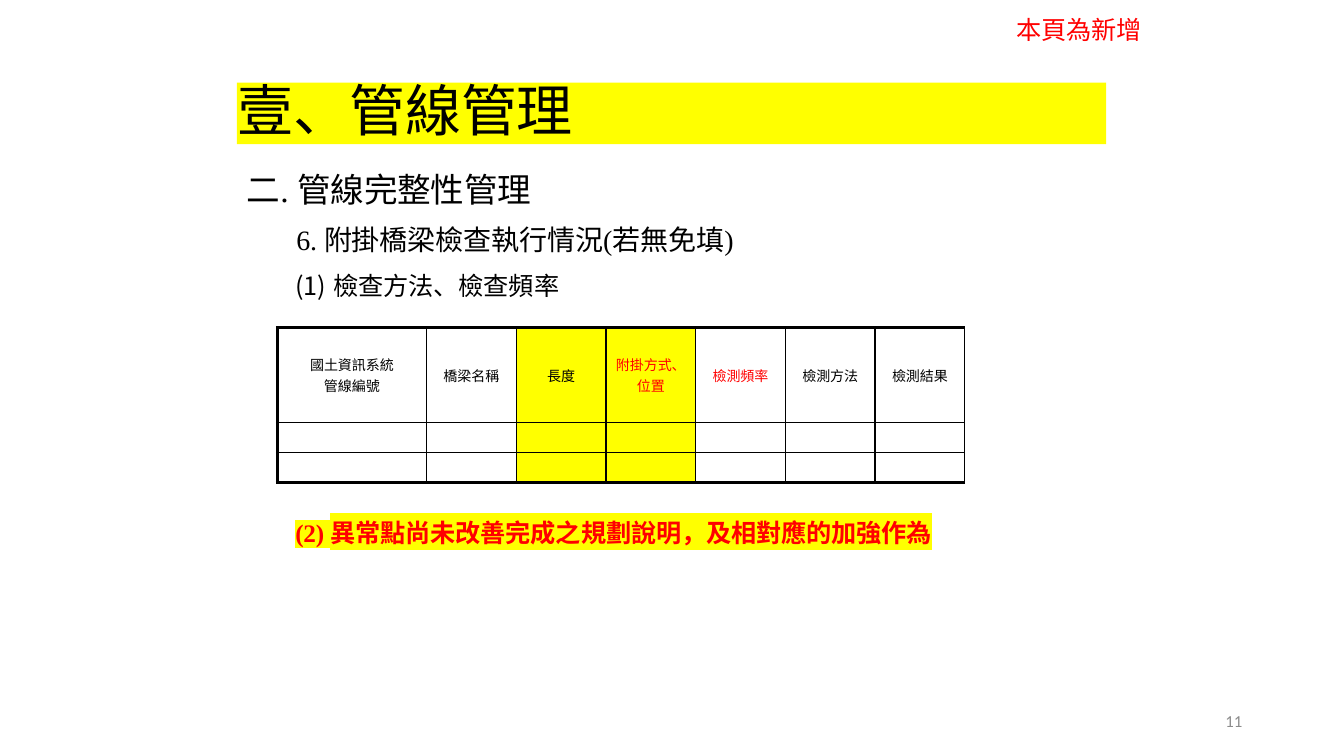
from dataclasses import dataclass

from lxml.etree import SubElement
from pptx import Presentation
from pptx.dml.color import RGBColor
from pptx.enum.text import MSO_ANCHOR as Anchor, MSO_AUTO_SIZE as AutoSize, PP_ALIGN as Align
from pptx.oxml.ns import qn
from pptx.util import Pt

PX = 9144  # EMU per px, 100 px to the inch


@dataclass(frozen=True)
class Theme:
    black: str = "000000"
    red: str = "FF0000"
    yellow: str = "FFFF00"
    grey: str = "8C8C8C"
    serif: str = "Times New Roman"
    sans: str = "Calibri"
    title: int = 40
    heading: int = 24
    subheading: int = 20
    body: int = 18
    footer: int = 12
    cell: int = 10
    thin: float = 1
    thick: float = 2.25


THEME = Theme()


@dataclass(frozen=True)
class Line:
    text: str
    size: int
    color: str = THEME.black
    font: str = THEME.serif
    bold: bool = False
    tracking: int = 0
    highlight: str = ""
    align: Align = Align.LEFT
    left: int = 0
    first: int = 0
    spacing: float = 1.0
    after: int = 0
    numbering: str = ""


@dataclass(frozen=True)
class TextBlock:
    box: tuple[int, int, int, int]
    lines: tuple[Line, ...]
    anchor: Anchor = Anchor.TOP
    fill: str = ""
    inset: bool = True
    wrap: bool = True


@dataclass(frozen=True)
class Column:
    header: tuple[str, ...]
    width: int = 89
    color: str = THEME.black
    fill: str = ""


BLOCKS = (
    TextBlock((235, 82, 862, 61), (
        Line("壹、管線管理", THEME.title, tracking=-10, left=1, spacing=0.9),
    ), Anchor.MIDDLE, THEME.yellow, inset=False),
    TextBlock((235, 167, 835, 341), (
        Line("二. 管線完整性管理", THEME.heading, tracking=-10, spacing=0.9, after=12),
        Line("6. 附掛橋梁檢查執行情況(若無免填)", THEME.subheading, tracking=-10,
             left=49, spacing=0.9, after=12),
        Line("檢查方法、檢查頻率", THEME.body, tracking=-10, left=86, first=-38,
             spacing=0.9, after=12, numbering="arabicParenBoth"),
    )),
    TextBlock((942, 695, 300, 40), (
        Line("11", THEME.footer, THEME.grey, THEME.sans, align=Align.RIGHT),
    ), Anchor.MIDDLE),
    TextBlock((998, 9, 146, 40), (
        Line("本頁為新增", THEME.body, THEME.red, THEME.sans),
    ), wrap=False),
    TextBlock((283, 508, 675, 40), (
        Line("(2) 異常點尚未改善完成之規劃說明，及相對應的加強作為", THEME.body, THEME.red,
             bold=True, tracking=-10, highlight=THEME.yellow, after=12),
    ), wrap=False),
)

COLUMNS = (
    Column(("國土資訊系統", "管線編號"), width=148),
    Column(("橋梁名稱",)),
    Column(("長度",), fill=THEME.yellow),
    Column(("附掛方式、位置",), color=THEME.red, fill=THEME.yellow),
    Column(("檢測頻率",), color=THEME.red),
    Column(("檢測方法",)),
    Column(("檢測結果",)),
)
ROW_HEIGHTS = (94, 30, 30)
TABLE_ORIGIN = (275, 325)


def add_solid(parent, tag: str, color: str) -> None:
    SubElement(SubElement(parent, qn(tag)), qn("a:srgbClr"), val=color)


def write_line(para, line: Line) -> None:
    props = para._p.get_or_add_pPr()
    props.set("marL", str(line.left * PX))
    props.set("indent", str(line.first * PX))
    para.alignment = line.align
    para.line_spacing = line.spacing
    para.space_after = Pt(line.after)
    if line.numbering:
        SubElement(props, qn("a:buFont"), typeface="+mj-ea")
        SubElement(props, qn("a:buAutoNum"), type=line.numbering)
    span = para.add_run()
    span.text = line.text
    font = span.font
    font.size, font.bold = Pt(line.size), line.bold
    font.color.rgb = RGBColor.from_string(line.color)
    run_props = span._r.get_or_add_rPr()
    if line.tracking:
        run_props.set("spc", str(line.tracking))
    if line.highlight:
        add_solid(run_props, "a:highlight", line.highlight)
    font.name = line.font


def write_lines(frame, lines: tuple[Line, ...]) -> None:
    for index, line in enumerate(lines):
        write_line(frame.add_paragraph() if index else frame.paragraphs[0], line)


def add_block(page, block: TextBlock) -> None:
    box = page.shapes.add_textbox(*(PX * side for side in block.box))
    frame = box.text_frame
    frame.word_wrap = block.wrap
    frame.auto_size = AutoSize.NONE if block.wrap else AutoSize.SHAPE_TO_FIT_TEXT
    frame.vertical_anchor = block.anchor
    if block.fill:
        box.fill.solid()
        box.fill.fore_color.rgb = RGBColor.from_string(block.fill)
    if not block.inset:
        frame.margin_left = frame.margin_right = frame.margin_top = frame.margin_bottom = 0
    write_lines(frame, block.lines)


def set_borders(cell, row: int, col: int) -> None:
    """Thick rule on the table's left, top and bottom, thin elsewhere."""
    thick_sides = {"L": col == 0, "R": False, "T": row == 0,
                   "B": row == len(ROW_HEIGHTS) - 1}
    props = cell._tc.get_or_add_tcPr()
    for side, thick in thick_sides.items():
        width = Pt(THEME.thick if thick else THEME.thin)
        border = SubElement(props, qn(f"a:ln{side}"), w=str(width))
        add_solid(border, "a:solidFill", THEME.black)


def fill_cell(cell, row: int, col: int) -> None:
    column = COLUMNS[col]
    set_borders(cell, row, col)
    cell.vertical_anchor = Anchor.MIDDLE
    cell.margin_left = cell.margin_right = 7 * PX
    cell.margin_top = cell.margin_bottom = 0
    if column.fill:
        cell.fill.solid()
        cell.fill.fore_color.rgb = RGBColor.from_string(column.fill)
    else:
        cell.fill.background()
    if row == 0:
        write_lines(cell.text_frame, tuple(
            Line(text, THEME.cell, column.color, align=Align.CENTER)
            for text in column.header))
    else:
        SubElement(cell.text_frame.paragraphs[0]._p, qn("a:endParaRPr"),
                   sz=str(THEME.cell * 100))


def add_bridge_table(page) -> None:
    size = (sum(column.width for column in COLUMNS), sum(ROW_HEIGHTS))
    frame = page.shapes.add_table(len(ROW_HEIGHTS), len(COLUMNS),
                                  *(PX * side for side in TABLE_ORIGIN + size))
    table = frame.table
    table.first_row = table.horz_banding = False
    for col, column in enumerate(COLUMNS):
        table.columns[col].width = column.width * PX
    for row, height in enumerate(ROW_HEIGHTS):
        table.rows[row].height = height * PX
        for col in range(len(COLUMNS)):
            fill_cell(table.cell(row, col), row, col)


def main() -> None:
    deck = Presentation()
    deck.slide_width, deck.slide_height = 1333 * PX, 750 * PX
    page = deck.slides.add_slide(deck.slide_layouts[6])
    for block in BLOCKS:
        add_block(page, block)
    add_bridge_table(page)
    deck.save("out.pptx")


if __name__ == "__main__":
    main()
